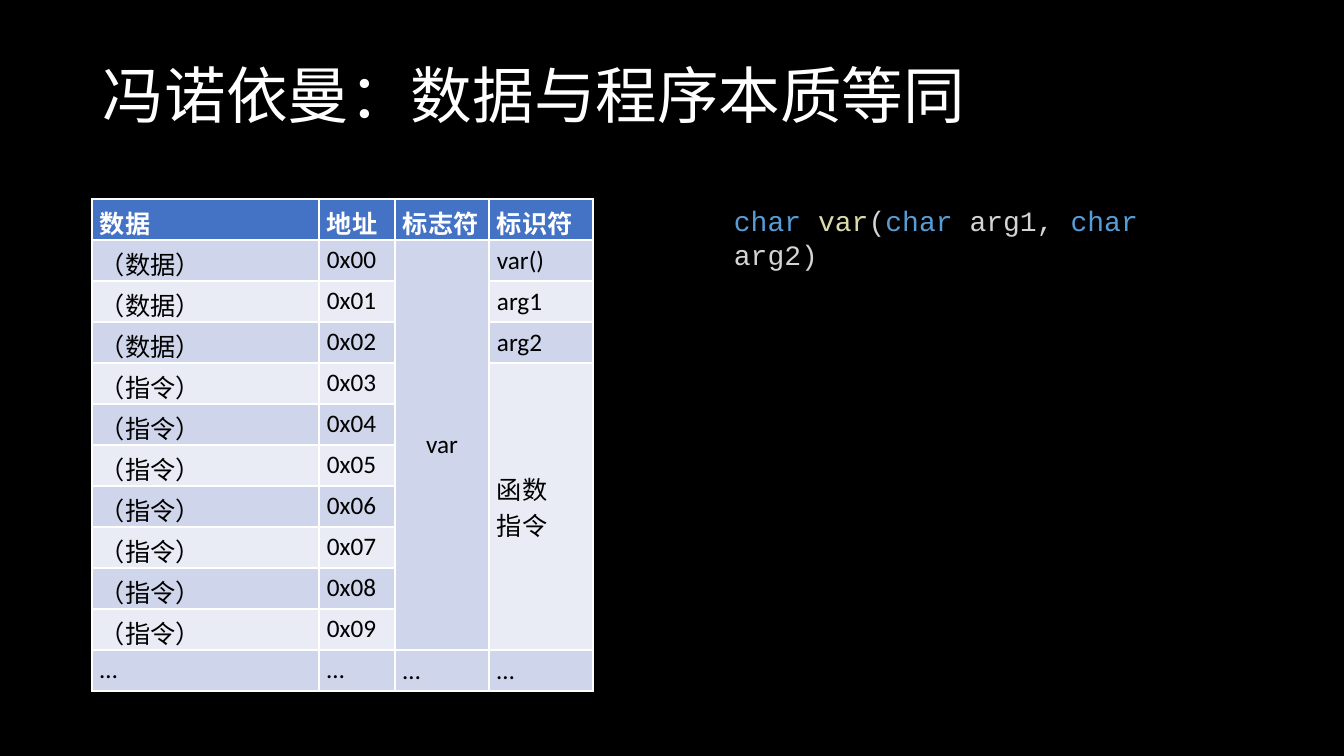
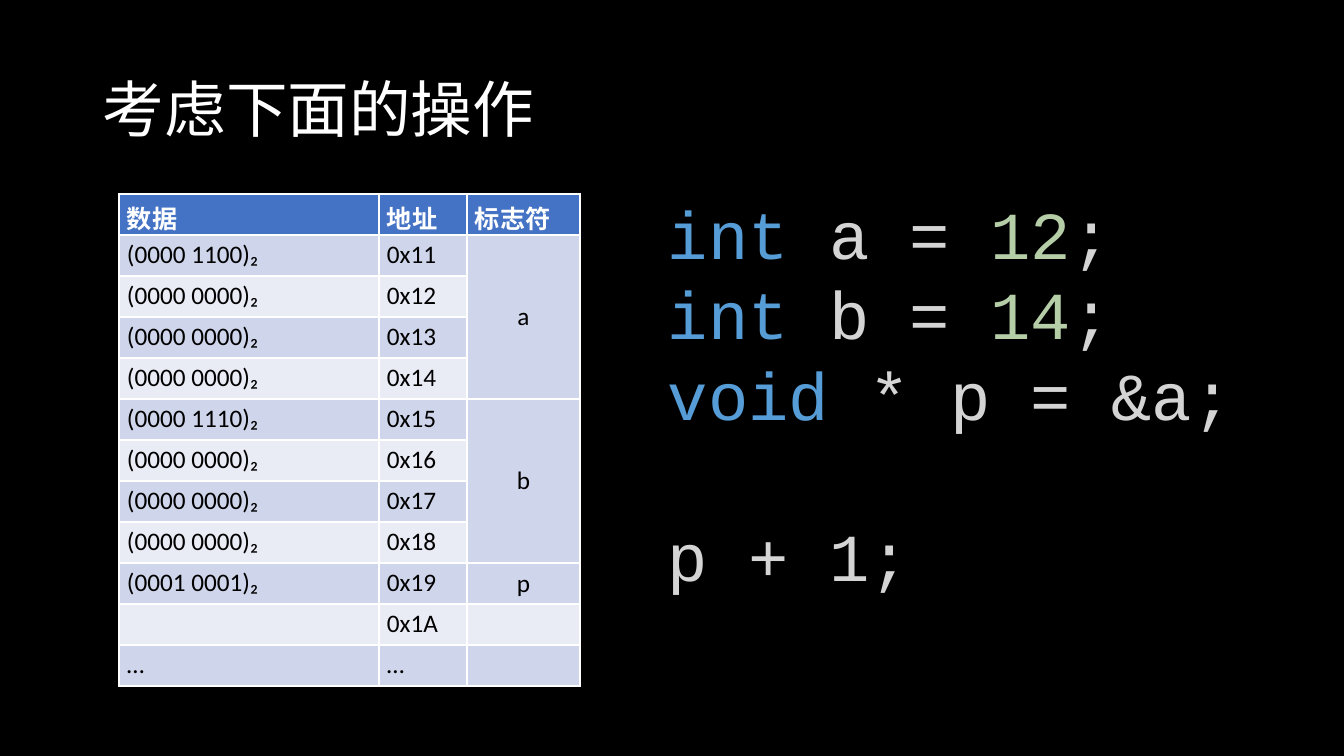
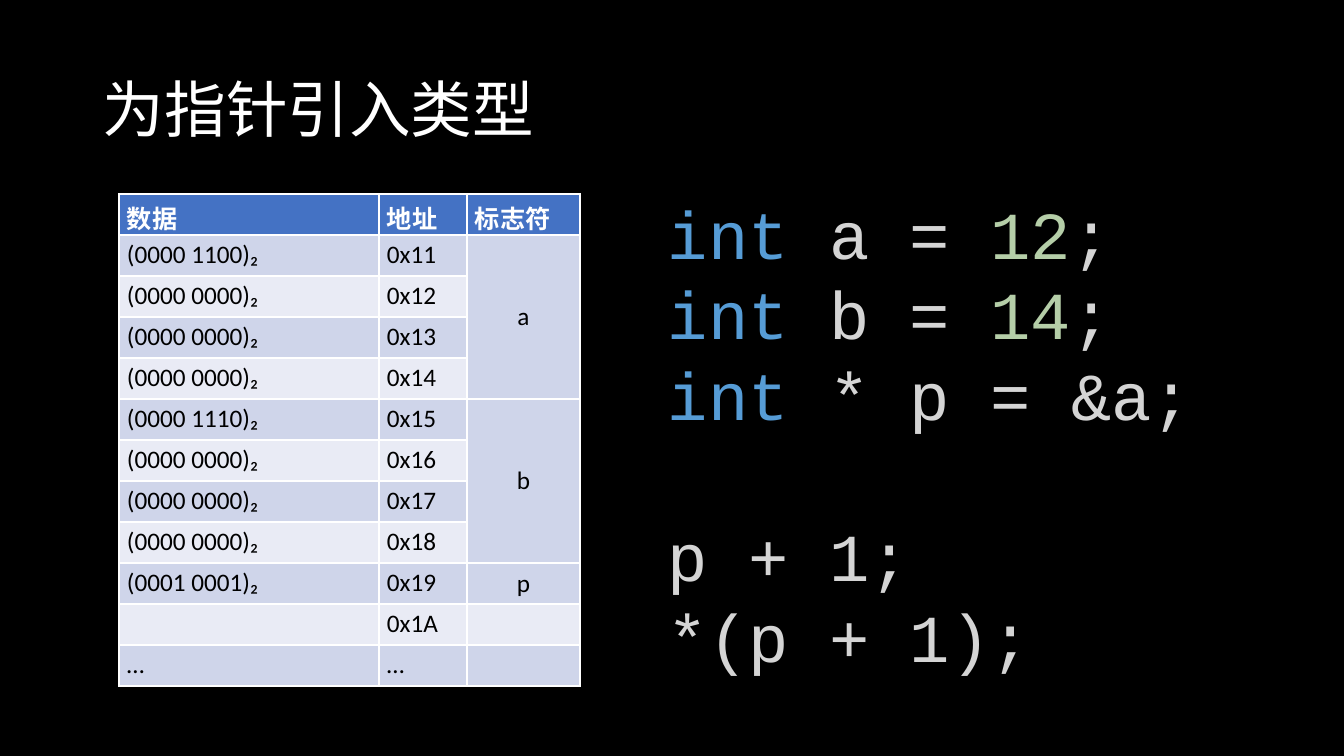
"""Build three slides on memory tables, programs as data and typed pointers."""
from pptx import Presentation
from pptx.dml.color import RGBColor
from pptx.enum.text import MSO_ANCHOR, PP_ALIGN
from pptx.util import Pt

PX = 914400 / 100.8
BLACK = RGBColor(0x00, 0x00, 0x00)
WHITE = RGBColor(0xFF, 0xFF, 0xFF)
HEADER = RGBColor(0x44, 0x72, 0xC4)
BANDS = RGBColor(0xE9, 0xEB, 0xF5), RGBColor(0xCF, 0xD5, 0xEA)
KEYWORD = RGBColor(0x56, 0x9C, 0xD6)
FUNCTION = RGBColor(0xDC, 0xDC, 0xAA)
NUMBER = RGBColor(0xB5, 0xCE, 0xA8)
PLAIN = RGBColor(0xD4, 0xD4, 0xD4)
ROW_HEIGHT = 41
CODE_LINE = Pt(57.5)


def px(n):
    return round(n * PX)


def add_text(s, box, lines, font, size):
    tf = s.shapes.add_textbox(*map(px, box)).text_frame
    tf.word_wrap = True
    for i, line in enumerate(lines):
        p = tf.paragraphs[0] if i == 0 else tf.add_paragraph()
        p.font.name, p.font.size = font, Pt(size)
        for text, color in line:
            r = p.add_run()
            r.text = text
            r.font.color.rgb = color
    return tf


program_rows = [["数据", "地址", "标志符", "标识符"]]
for i in range(10):
    program_rows.append(["（数据）" if i < 3 else "（指令）", f"0x{i:02X}", "", ""])
program_rows.append(["…"] * 4)
program_rows[1][2:] = ["var", "var()"]
program_rows[2][3] = "arg1"
program_rows[3][3] = "arg2"
program_rows[4][3] = "函数\n指令"
program_table = (92, 199), (227, 76, 94, 104), program_rows, [(1, 10, 2), (4, 10, 3)]

zero = "0000 0000"
stored_bytes = ["0000 1100", zero, zero, zero, "0000 1110", zero, zero, zero, "0001 0001"]
names = {0: "a", 4: "b", 8: "p"}
pointer_rows = [["数据", "地址", "标志符"]]
for i, bits in enumerate(stored_bytes):
    pointer_rows.append([f"({bits})₂", f"0x{0x11 + i:X}", names.get(i, "")])
pointer_rows += [["", "0x1A", ""], ["…", "…", ""]]
pointer_table = (119, 194), (260, 88, 113), pointer_rows, [(1, 4, 2), (5, 8, 2)]

signature = [[("char ", KEYWORD), ("var", FUNCTION), ("(", PLAIN), ("char", KEYWORD),
              (" arg1, ", PLAIN), ("char", KEYWORD), (" arg2)", PLAIN)]]
variables = [[("int", KEYWORD), (f" {name} = ", PLAIN), (value, NUMBER), (";", PLAIN)]
             for name, value in (("a", "12"), ("b", "14"))]
increment = [("p + 1;", PLAIN)]
dereference = [("*(p + 1);", PLAIN)]
untyped, typed = [variables + [[(kind, KEYWORD), (" * p = &a;", PLAIN)], increment]
                  for kind in ("void", "int")]

slides = [
    ("冯诺依曼：数据与程序本质等同", 117, program_table, (724, 199, 487, 44), signature, 20),
    ("考虑下面的操作", 146, pointer_table, (658, 187, 594, 417), untyped, 48),
    ("为指针引入类型", 146, pointer_table, (658, 187, 594, 499), typed + [dereference], 48),
]

prs = Presentation()
prs.slide_width, prs.slide_height = px(1344), px(756)

for title, title_height, table, code_box, code, code_size in slides:
    s = prs.slides.add_slide(prs.slide_layouts[6])
    s.background.fill.solid()
    s.background.fill.fore_color.rgb = BLACK

    tf = add_text(s, (93, 40, 1159, title_height), [[(title, WHITE)]], "Calibri", 44)
    tf.vertical_anchor = MSO_ANCHOR.MIDDLE
    tf.paragraphs[0].line_spacing = 0.9

    (left, top), widths, rows, merges = table
    size = sum(widths), ROW_HEIGHT * len(rows)
    grid = s.shapes.add_table(len(rows), len(widths), *map(px, (left, top, *size))).table
    for column, width in zip(grid.columns, widths):
        column.width = px(width)
    for row in grid.rows:
        row.height = px(ROW_HEIGHT)
    for first, last, col in merges:
        grid.cell(first, col).merge(grid.cell(last, col))
    for i, row in enumerate(rows):
        for j, text in enumerate(row):
            cell = grid.cell(i, j)
            cell.text = text
            cell.margin_left = cell.margin_right = px(8)
            cell.margin_top = cell.margin_bottom = px(5)
            cell.fill.solid()
            cell.fill.fore_color.rgb = BANDS[i % 2] if i else HEADER
            if j >= 2:
                cell.vertical_anchor = MSO_ANCHOR.MIDDLE
            for p in cell.text_frame.paragraphs:
                p.font.name, p.font.size, p.font.bold = "Calibri", Pt(18), i == 0
                p.font.color.rgb = BLACK if i else WHITE
                if i and j == 2 and text != "…":
                    p.alignment = PP_ALIGN.CENTER

    tf = add_text(s, code_box, code, "Courier New", code_size)
    for p in tf.paragraphs:
        if p.text == "p + 1;":
            p.space_before = CODE_LINE

prs.save("out.pptx")
